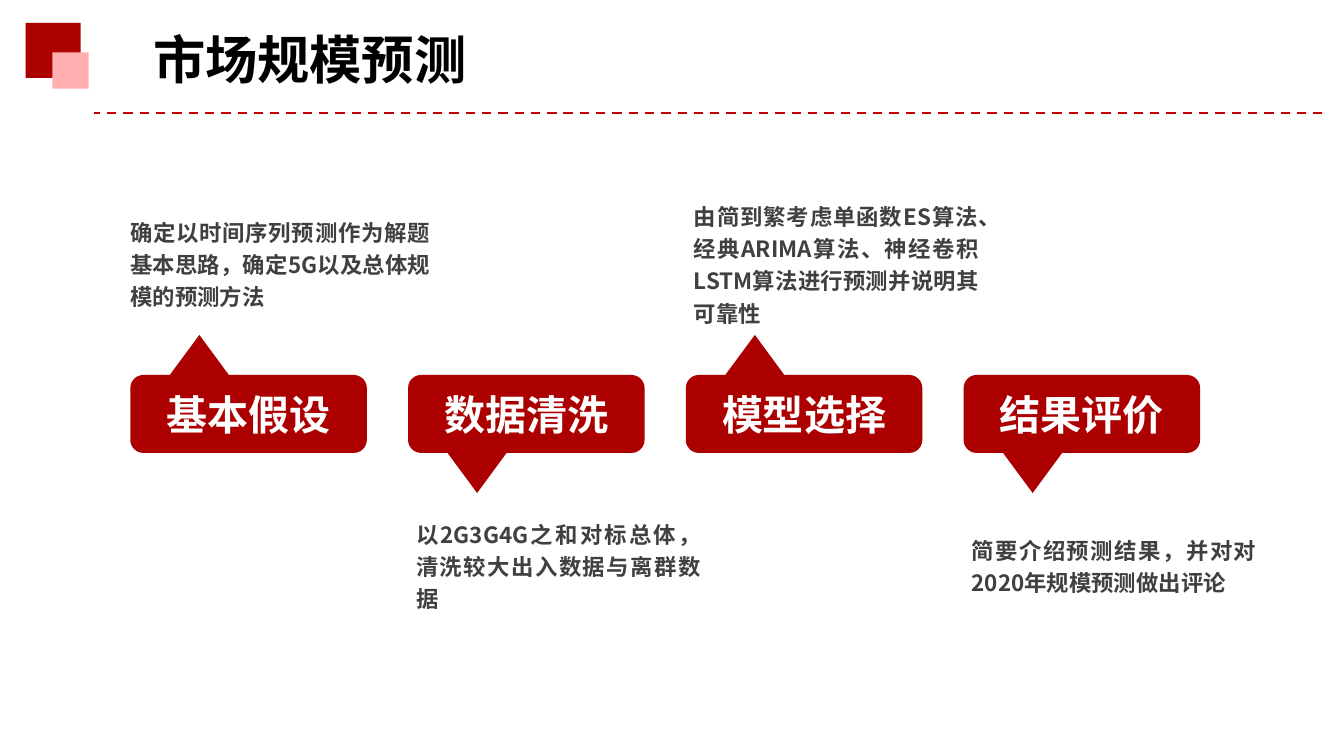
from pptx import Presentation
from pptx.dml.color import RGBColor
from pptx.enum.dml import MSO_LINE_DASH_STYLE as Dash
from pptx.enum.shapes import MSO_CONNECTOR as Connector, MSO_SHAPE as Shape
from pptx.enum.text import MSO_ANCHOR as Anchor, MSO_AUTO_SIZE as AutoSize, PP_ALIGN as Align
from pptx.oxml.ns import qn
from pptx.util import Inches, Pt

FONT = "Noto Sans CJK SC"
COLORS = {
    "red": "AC0000",
    "pink": "FFAFAF",
    "rule": "C00000",
    "title": "000000",
    "body": "404040",
    "white": "FFFFFF",
}
STEPS = [
    ("基本假设", "确定以时间序列预测作为解题基本思路，确定5G以及总体规模的预测方法", True),
    ("数据清洗", "以2G3G4G之和对标总体，清洗较大出入数据与离群数据", False),
    ("模型选择", "由简到繁考虑单函数ES算法、经典ARIMA算法、神经卷积LSTM算法进行预测并说明其可靠性", True),
    ("结果评价", "简要介绍预测结果，并对对2020年规模预测做出评论", False),
]


def color(name):
    return RGBColor.from_string(COLORS[name])


def write(shape, text, size, ink, align=Align.LEFT, anchor=Anchor.MIDDLE,
          inset=(0.06, 0.06), wrap=True, leading=None, gap=0):
    frame = shape.text_frame
    frame.auto_size = AutoSize.NONE
    frame.word_wrap = wrap
    frame.vertical_anchor = anchor
    frame.margin_left = frame.margin_right = Inches(inset[0])
    frame.margin_top = frame.margin_bottom = Inches(inset[1])
    para = frame.paragraphs[0]
    para.alignment = align
    para.line_spacing = leading
    para.space_before = para.space_after = Pt(gap)
    span = para.add_run()
    span.text = text
    span.font.size = Pt(size)
    span.font.bold = True
    span.font.name = FONT
    span.font.color.rgb = color(ink)
    east_asian = span.font._element.makeelement(qn("a:ea"), {"typeface": FONT})
    span.font._element.append(east_asian)


def add_block(page, kind, left, top, width, height, fill):
    block = page.shapes.add_shape(kind, Inches(left), Inches(top), Inches(width), Inches(height))
    block.shadow.inherit = False
    block.fill.solid()
    block.fill.fore_color.rgb = color(fill)
    block.line.fill.background()
    return block


def add_header(page, left, top, width, text):
    add_block(page, Shape.RECTANGLE, left, top, 0.41, 0.41, "red")
    add_block(page, Shape.RECTANGLE, left + 0.2, top + 0.22, 0.27, 0.27, "pink")
    rule_y = Inches(top + 0.67)
    rule = page.shapes.add_connector(
        Connector.STRAIGHT, Inches(left + width), rule_y, Inches(left + 0.51), rule_y)
    rule.line.color.rgb = color("rule")
    rule.line.width = Pt(1.25)
    rule.line.dash_style = Dash.DASH
    properties = rule._element.spPr
    properties.append(properties.makeelement(qn("a:effectLst"), {}))
    title = page.shapes.title
    title.left, title.top = Inches(left + 0.85), Inches(top - 0.02)
    title.width, title.height = Inches(2.88), Inches(0.57)
    write(title, text, 28, "title", anchor=Anchor.TOP, inset=(0.1, 0.05), wrap=False, leading=1.0)


def add_step(page, left, top, name, detail, points_up, note_shift=0, note_width=2.24):
    callout = add_block(page, Shape.ROUNDED_RECTANGULAR_CALLOUT, left, top, 1.76, 0.58, "red")
    callout.adjustments[0] = -0.208
    callout.adjustments[1] = -1.014 if points_up else 1.014
    callout.adjustments[2] = 0.167
    write(callout, name, 22, "white", align=Align.CENTER, inset=(0.11, 0.06))
    note_top, note_height = (top - 1.55, 1.42) if points_up else (top + 0.65, 1.51)
    note = page.shapes.add_textbox(
        Inches(left + note_shift), Inches(note_top), Inches(note_width), Inches(note_height))
    write(note, detail, 12, "body", align=Align.JUSTIFY, leading=1.2, gap=6.6)


def add_steps(page, left, top, width):
    pitch = (width - 1.76) / (len(STEPS) - 1)
    for index, step in enumerate(STEPS):
        note_box = {"note_shift": -0.06, "note_width": 2.35} if index == 0 else {}
        add_step(page, left + index * pitch, top, *step, **note_box)


def main():
    deck = Presentation()
    deck.slide_width, deck.slide_height = Inches(10), Inches(10 * 9 / 16)
    page = deck.slides.add_slide(deck.slide_layouts[5])
    add_header(page, 0.19, 0.17, 9.65, "市场规模预测")
    add_steps(page, 0.97, 2.79, 7.96)
    deck.save("out.pptx")


if __name__ == "__main__":
    main()
